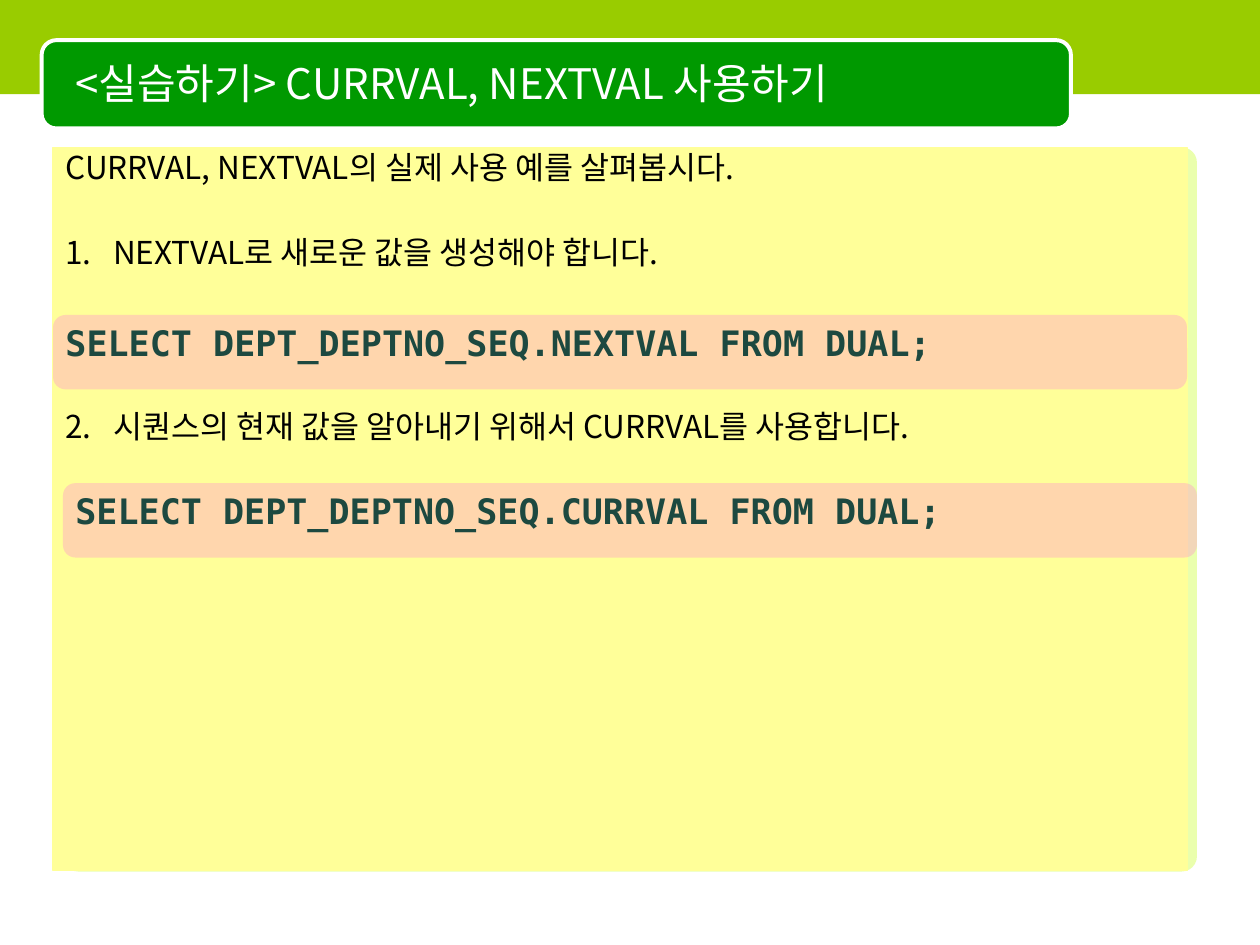
from dataclasses import dataclass

from lxml.etree import SubElement
from pptx import Presentation
from pptx.dml.color import RGBColor
from pptx.enum.shapes import MSO_SHAPE
from pptx.enum.text import MSO_ANCHOR, MSO_AUTO_SIZE, PP_ALIGN
from pptx.oxml.ns import qn
from pptx.util import Cm, Pt


@dataclass(frozen=True)
class Theme:
    white: str = "FFFFFF"
    black: str = "000000"
    band: str = "99CC00"
    banner: str = "009900"
    shade: str = "CCFF33"
    paper: str = "FFFF99"
    code_panel: str = "FF99CC"
    code_text: str = "1D4940"
    text_font: str = "Noto Sans CJK KR"
    code_font: str = "DejaVu Sans Mono"
    title_size: int = 24
    body_size: int = 18
    code_size: int = 20


class SlideBuilder:
    def __init__(self, page, theme):
        self.page = page
        self.theme = theme

    def place(self, item, left, top, width, height):
        places = {"left": left, "top": top, "width": width, "height": height}
        for name, value in places.items():
            setattr(item, name, Cm(value))

    def prepare(self, frame, anchor=MSO_ANCHOR.TOP, inset=0.13):
        formats = {
            "word_wrap": True,
            "auto_size": MSO_AUTO_SIZE.NONE,
            "vertical_anchor": anchor,
            "margin_left": Cm(0.25),
            "margin_right": Cm(0.25),
            "margin_top": Cm(inset),
            "margin_bottom": Cm(inset),
        }
        for name, value in formats.items():
            setattr(frame, name, value)

    def add_span(self, para, text, font, size, color, bold=False):
        para.alignment = PP_ALIGN.LEFT
        span = para.add_run()
        span.text = text
        formats = {"name": font, "size": Pt(size), "bold": bold}
        for name, value in formats.items():
            setattr(span.font, name, value)
        span.font.color.rgb = RGBColor.from_string(color)
        # East Asian letters need their own font entry
        SubElement(span.font._element, qn("a:ea"), typeface=font)

    def panel(self, kind, area, color, corner=None, opacity=None, line=None):
        shape = self.page.shapes.add_shape(kind, *map(Cm, area))
        shape.shadow.inherit = False
        shape.fill.solid()
        shape.fill.fore_color.rgb = RGBColor.from_string(color)
        if corner is not None:
            shape.adjustments[0] = corner
        if opacity is not None:
            value = shape._element.spPr.find(qn("a:solidFill"))[0]
            SubElement(value, qn("a:alpha"), val=str(opacity * 1000))
        if line:
            shape.line.color.rgb = RGBColor.from_string(line)
            shape.line.width = Pt(2.25)
        else:
            shape.line.fill.background()
        return shape

    def bring_to_front(self, item):
        self.page.shapes._spTree.append(item._element)

    def title(self, text, area):
        theme = self.theme
        box = self.page.shapes.title
        self.place(box, *area)
        self.prepare(box.text_frame, MSO_ANCHOR.MIDDLE)
        self.add_span(box.text_frame.paragraphs[0], text,
                      theme.text_font, theme.title_size, theme.white)
        self.bring_to_front(box)

    def body(self, intro, steps, area):
        """Set an intro line and numbered steps of (text, space before)."""
        theme = self.theme
        box = self.page.placeholders[1]
        self.place(box, *area)
        box.fill.solid()
        box.fill.fore_color.rgb = RGBColor.from_string(theme.paper)
        box.line.color.rgb = RGBColor.from_string(theme.paper)
        box.line.width = Pt(0.75)
        frame = box.text_frame
        self.prepare(frame, inset=0.02)
        for number, (text, gap) in enumerate([(intro, 0), *steps]):
            para = frame.add_paragraph() if number else frame.paragraphs[0]
            para.space_before = Pt(gap)
            self.add_span(para, text, theme.text_font, theme.body_size, theme.black)
            properties = para._element.get_or_add_pPr()
            properties.set("marL", str(Cm(0.96)))
            properties.set("indent", str(Cm(-0.96)))
            if number:
                SubElement(properties, qn("a:buFont"), typeface=theme.text_font)
                SubElement(properties, qn("a:buAutoNum"),
                           type="arabicPeriod", startAt=str(number))
            else:
                SubElement(properties, qn("a:buNone"))
        self.bring_to_front(box)

    def code(self, text, left, top, width=22.86):
        theme = self.theme
        panel = self.panel(MSO_SHAPE.ROUNDED_RECTANGLE, (left, top, width, 1.5),
                           theme.code_panel, corner=0.167, opacity=40)
        box = self.page.shapes.add_textbox(*map(Cm, (left, top, width, 1.12)))
        self.prepare(box.text_frame)
        self.add_span(box.text_frame.paragraphs[0], text,
                      theme.code_font, theme.code_size, theme.code_text, bold=True)
        self.page.shapes.add_group_shape([panel, box])


def main():
    theme = Theme()
    deck = Presentation()
    deck.slide_width, deck.slide_height = Cm(25.4), Cm(19.05)
    page = deck.slides.add_slide(deck.slide_layouts[1])
    builder = SlideBuilder(page, theme)

    # Backdrop: shaded sheet, top band and title banner
    rounded = MSO_SHAPE.ROUNDED_RECTANGLE
    builder.panel(rounded, (1.27, 2.97, 22.86, 14.6), theme.shade,
                  corner=0.021, opacity=40)
    builder.panel(MSO_SHAPE.RECTANGLE, (0, 0, 25.4, 1.9), theme.band)
    builder.panel(rounded, (0.84, 0.81, 20.75, 1.78), theme.banner,
                  corner=0.167, line=theme.white)

    # Title and numbered steps, with room left for the code
    builder.title("<실습하기> CURRVAL, NEXTVAL 사용하기", (1.27, 0.89, 20.12, 1.57))
    builder.body(
        "CURRVAL, NEXTVAL의 실제 사용 예를 살펴봅시다.",
        [("NEXTVAL로 새로운 값을 생성해야 합니다.", 26.5),
         ("시퀀스의 현재 값을 알아내기 위해서 CURRVAL를 사용합니다.", 78)],
        (1.07, 2.97, 22.86, 14.58),
    )

    # Code under each step
    for value, left, top in (("NEXTVAL", 1.07, 6.35), ("CURRVAL", 1.27, 9.74)):
        builder.code(f"SELECT DEPT_DEPTNO_SEQ.{value} FROM DUAL;", left, top)

    deck.save("out.pptx")


if __name__ == "__main__":
    main()
